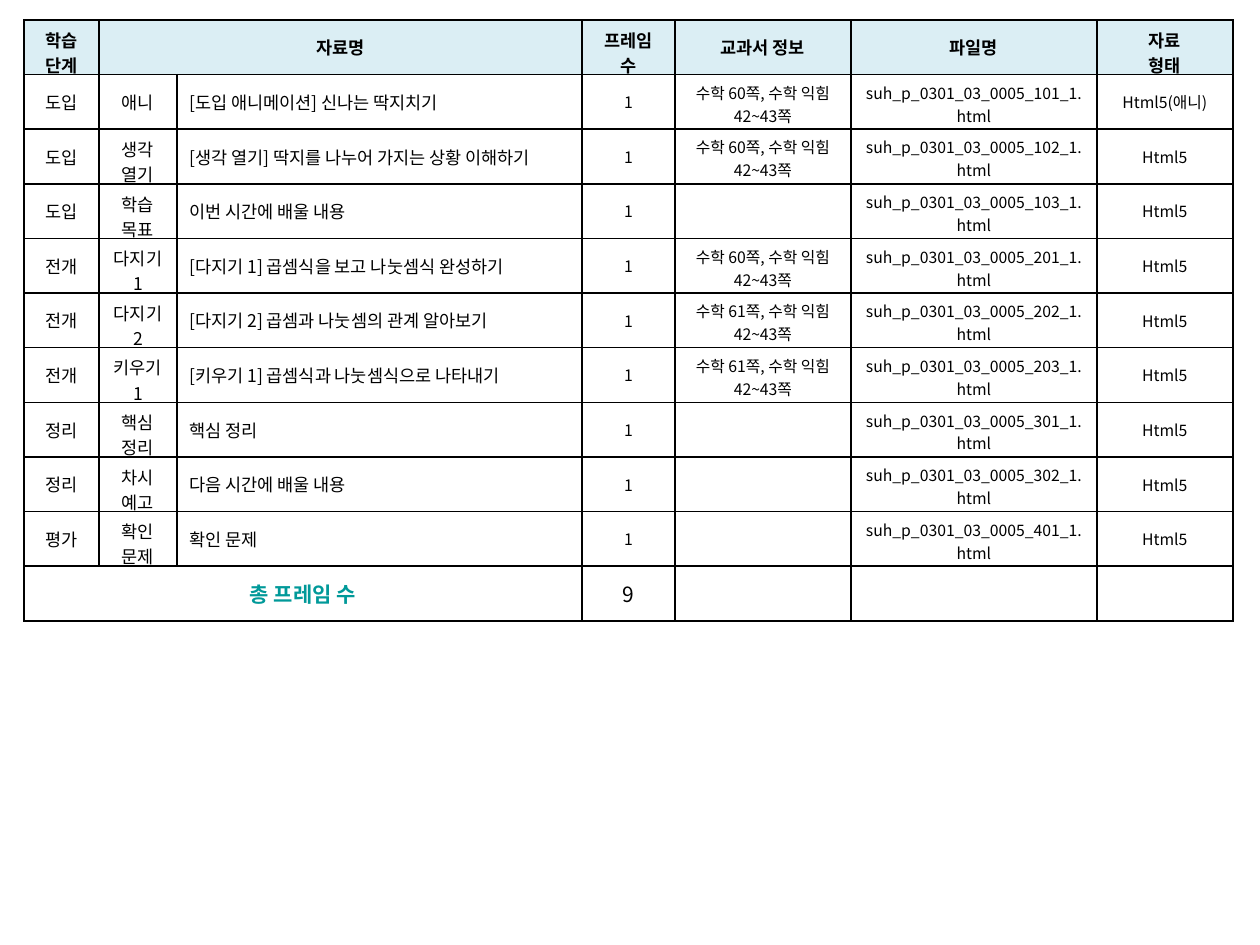
"""Build a one-slide table listing the lesson materials and their frame count."""
from dataclasses import dataclass

from lxml import etree
from pptx import Presentation
from pptx import util as u
from pptx.dml import color
from pptx.enum import text
from pptx.oxml import ns

SCALE = 914400 // 126


@dataclass(frozen=True)
class Theme:
    font: str = "Noto Sans CJK KR"
    ink: str = "000000"
    accent: str = "009999"
    header: str = "DBEEF4"
    paper: str = "FFFFFF"
    small: int = 9
    body: int = 10
    total: int = 12
    border: int = 1


@dataclass(frozen=True)
class Material:
    stage: str
    step: str
    title: str
    code: int
    page: int = 0
    form: str = "Html5"

    def values(self) -> list[str]:
        """Return the seven cell texts of this material."""
        book = f"수학 {self.page}쪽, 수학 익힘 42~43쪽" if self.page else ""
        file = f"suh_p_0301_03_0005_{self.code}_1.html"
        return [self.stage, self.step, self.title, "1", book, file, self.form]


THEME = Theme()
COLUMNS = [75, 78, 405, 93, 176, 246, 136]
LINE_CAPACITY = [3, 3, 40, 3, 12, 20, 11]
LEFT, TOP, HEIGHT, INSET = 24, 20, 601, 6
WRAPPED_BOTTOM = {THEME.small: 2, THEME.body: -4}
TITLE_COLUMN, COUNT_COLUMN = 2, 3
HEADERS = ["학습 단계", "자료명", "", "프레임 수", "교과서 정보", "파일명", "자료\n형태"]
MATERIALS = [
    Material("도입", "애니", "[도입 애니메이션] 신나는 딱지치기", 101, 60, "Html5(애니)"),
    Material("도입", "생각 열기", "[생각 열기] 딱지를 나누어 가지는 상황 이해하기", 102, 60),
    Material("도입", "학습 목표", "이번 시간에 배울 내용", 103),
    Material("전개", "다지기 1", "[다지기 1] 곱셈식을 보고 나눗셈식 완성하기", 201, 60),
    Material("전개", "다지기 2", "[다지기 2] 곱셈과 나눗셈의 관계 알아보기", 202, 61),
    Material("전개", "키우기1", "[키우기 1] 곱셈식과 나눗셈식으로 나타내기", 203, 61),
    Material("정리", "핵심 정리", "핵심 정리", 301),
    Material("정리", "차시 예고", "다음 시간에 배울 내용", 302),
    Material("평가", "확인 문제", "확인 문제", 401),
]


def px(length: int) -> int:
    """Turn pixels into EMU."""
    return u.Emu(length * SCALE)


def bottom_margin(content: str, column: int, size: int) -> int:
    """Return the bottom margin that lets two lines fit the fixed row height."""
    wrapped = "\n" in content or len(content) > LINE_CAPACITY[column]
    return px(WRAPPED_BOTTOM.get(size, INSET) if wrapped else INSET)


def draw_borders(cell) -> None:
    """Give a cell a solid line on all four sides."""
    properties = cell._tc.get_or_add_tcPr()
    for index, side in enumerate(("lnL", "lnR", "lnT", "lnB")):
        line = etree.Element(ns.qn(f"a:{side}"), w=str(u.Pt(THEME.border)))
        fill = etree.SubElement(line, ns.qn("a:solidFill"))
        etree.SubElement(fill, ns.qn("a:srgbClr"), val=THEME.ink)
        properties.insert(index, line)


def fill_cell(table, row: int, column: int, content: str, size: int, fill: str = THEME.paper,
              ink: str = THEME.ink, bold: bool = False, align=text.PP_ALIGN.CENTER) -> None:
    """Write and format one table cell."""
    cell = table.cell(row, column)
    cell.fill.solid()
    cell.fill.fore_color.rgb = color.RGBColor.from_string(fill)
    cell.vertical_anchor = text.MSO_ANCHOR.MIDDLE
    cell.margin_top = px(INSET)
    cell.margin_bottom = bottom_margin(content, column, size)
    draw_borders(cell)
    formats = {"size": u.Pt(size), "bold": bold, "name": THEME.font}
    for index, words in enumerate(content.split("\n")):
        para = cell.text_frame.add_paragraph() if index else cell.text_frame.paragraphs[0]
        para.alignment = align
        span = para.add_run()
        span.text = words
        for name, value in formats.items():
            setattr(span.font, name, value)
        span.font.color.rgb = color.RGBColor.from_string(ink)
        properties = span._r.get_or_add_rPr()
        properties.set("kern", "0")
        etree.SubElement(properties, ns.qn("a:ea"), typeface=THEME.font)


def draw_table(page) -> None:
    """Draw the header, the material rows and the total row."""
    count = len(MATERIALS) + 2
    frame = page.shapes.add_table(count, len(COLUMNS), px(LEFT), px(TOP),
                                  px(sum(COLUMNS)), px(HEIGHT))
    table = frame.table
    table.first_row = table.horz_banding = False
    for column, width in zip(table.columns, COLUMNS):
        column.width = px(width)
    for row in table.rows:
        row.height = px(HEIGHT) // count

    for index, content in enumerate(HEADERS):
        fill_cell(table, 0, index, content, THEME.body, THEME.header, bold=True)
    for row, material in enumerate(MATERIALS, 1):
        for index, content in enumerate(material.values()):
            size = THEME.body if index <= TITLE_COLUMN else THEME.small
            align = text.PP_ALIGN.LEFT if index == TITLE_COLUMN else text.PP_ALIGN.CENTER
            fill_cell(table, row, index, content, size, align=align)

    last = count - 1
    totals = {0: "총 프레임 수", COUNT_COLUMN: str(len(MATERIALS))}
    for index in range(len(COLUMNS)):
        label = index == 0
        fill_cell(table, last, index, totals.get(index, ""), THEME.total,
                  ink=THEME.accent if label else THEME.ink, bold=label)
    table.cell(0, 1).merge(table.cell(0, TITLE_COLUMN))
    table.cell(last, 0).merge(table.cell(last, TITLE_COLUMN))


def main() -> None:
    """Create the deck and save it."""
    deck = Presentation()
    deck.slide_width, deck.slide_height = px(1260), px(945)
    page = deck.slides.add_slide(deck.slide_layouts[6])
    draw_table(page)
    deck.save("out.pptx")


if __name__ == "__main__":
    main()
